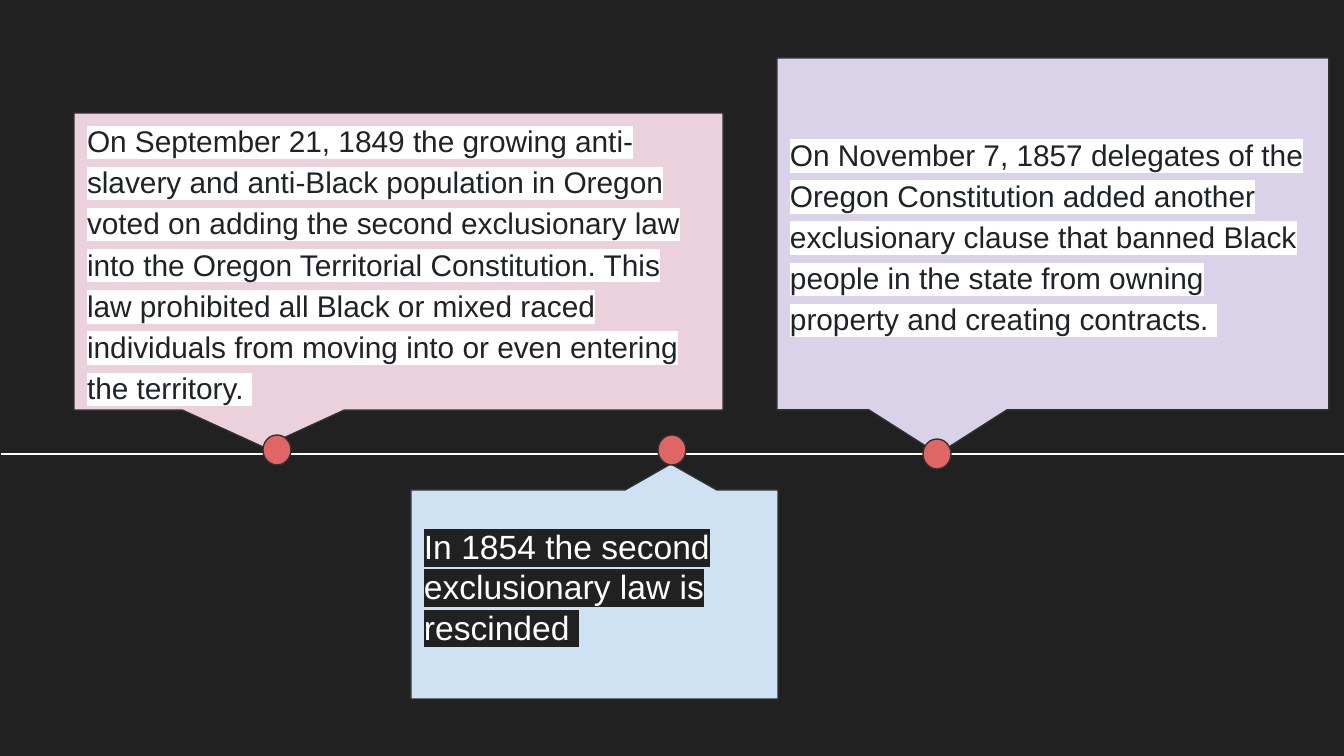
"""Build a timeline slide of Oregon exclusion laws with three callouts."""
from lxml.etree import SubElement
from pptx import Presentation
from pptx.dml.color import RGBColor
from pptx.enum.shapes import MSO_CONNECTOR, MSO_SHAPE
from pptx.enum.text import MSO_ANCHOR, MSO_AUTO_SIZE, PP_ALIGN
from pptx.oxml.ns import qn
from pptx.util import Pt

PX = 914400 / 134.4
SLIDE_SIZE = (1344, 756)
AXIS = (1, 454, 1344, 454)
DOT_SIZE = (28, 30)
TEXT_INSET = 13
TAIL = (-0.208, 0.625)

THEME = {
    "background": "212121",
    "axis": "FFFFFF",
    "outline": "303030",
    "dot": "E06666",
    "line_width": 0.75,
    "font": "Arial",
    "event": {"size": 16, "color": "1F2328", "highlight": "FFFFFF", "spacing": 1.15},
    "repeal": {"size": 18, "color": "FFFFFF", "highlight": "212121", "spacing": 1.0},
}

EVENTS = [
    {
        "text": "On September 21, 1849 the growing anti-slavery and anti-Black population "
                "in Oregon voted on adding the second exclusionary law into the Oregon "
                "Territorial Constitution. This law prohibited all Black or mixed raced "
                "individuals from moving into or even entering the territory. ",
        "box": (74, 113, 649, 297), "fill": "EAD1DC", "dot": (263, 435),
    },
    {
        "text": "In 1854 the second exclusionary law is rescinded ",
        "box": (411, 490, 367, 209), "fill": "CFE2F3", "dot": (658, 435),
        "text_box": (411, 513, 367, 149),
    },
    {
        "text": "On November 7, 1857 delegates of the Oregon Constitution added another "
                "exclusionary clause that banned Black people in the state from owning "
                "property and creating contracts. ",
        "box": (777, 58, 552, 352), "fill": "D9D2E9", "dot": (923, 439),
    },
]


def px(*lengths):
    return [round(length * PX) for length in lengths]


def color(name):
    return RGBColor.from_string(name)


def add_filled_shape(slide, kind, box, fill):
    shape = slide.shapes.add_shape(kind, *px(*box))
    shape.shadow.inherit = False
    shape.fill.solid()
    shape.fill.fore_color.rgb = color(fill)
    shape.line.color.rgb = color(THEME["outline"])
    shape.line.width = Pt(THEME["line_width"])
    return shape


def write_text(shape, text, style, anchor):
    frame = shape.text_frame
    frame.word_wrap = True
    frame.vertical_anchor = anchor
    inset, = px(TEXT_INSET)
    frame.margin_left = frame.margin_right = inset
    frame.margin_top = frame.margin_bottom = inset
    paragraph = frame.paragraphs[0]
    paragraph.alignment = PP_ALIGN.LEFT
    paragraph.line_spacing = style["spacing"]
    run = paragraph.add_run()
    run.text = text
    paragraph.font.name = THEME["font"]
    paragraph.font.size = Pt(style["size"])
    paragraph.font.color.rgb = color(style["color"])
    highlight = SubElement(run.font._element, qn("a:highlight"))
    SubElement(highlight, qn("a:srgbClr"), val=style["highlight"])


def add_axis(slide):
    axis = slide.shapes.add_connector(MSO_CONNECTOR.STRAIGHT, *px(*AXIS))
    axis.line.color.rgb = color(THEME["axis"])
    axis.line.width = Pt(THEME["line_width"])
    SubElement(axis._element.spPr, qn("a:effectLst"))


def add_event(slide, event):
    below_axis = "text_box" in event
    kind = (MSO_SHAPE.ROUNDED_RECTANGULAR_CALLOUT if below_axis
            else MSO_SHAPE.RECTANGULAR_CALLOUT)
    callout = add_filled_shape(slide, kind, event["box"], event["fill"])
    callout.adjustments[0], callout.adjustments[1] = TAIL
    if below_axis:
        callout.adjustments[2] = 0
        callout.rotation = 180
    add_filled_shape(slide, MSO_SHAPE.OVAL, event["dot"] + DOT_SIZE, THEME["dot"])
    if below_axis:
        label = slide.shapes.add_textbox(*px(*event["text_box"]))
        write_text(label, event["text"], THEME["repeal"], MSO_ANCHOR.TOP)
        label.text_frame.auto_size = MSO_AUTO_SIZE.SHAPE_TO_FIT_TEXT
    else:
        write_text(callout, event["text"], THEME["event"], MSO_ANCHOR.MIDDLE)


def main():
    presentation = Presentation()
    presentation.slide_width, presentation.slide_height = px(*SLIDE_SIZE)
    slide = presentation.slides.add_slide(presentation.slide_layouts.get_by_name("Blank"))
    slide.background.fill.solid()
    slide.background.fill.fore_color.rgb = color(THEME["background"])
    add_axis(slide)
    for event in EVENTS:
        add_event(slide, event)
    presentation.save("out.pptx")


if __name__ == "__main__":
    main()
